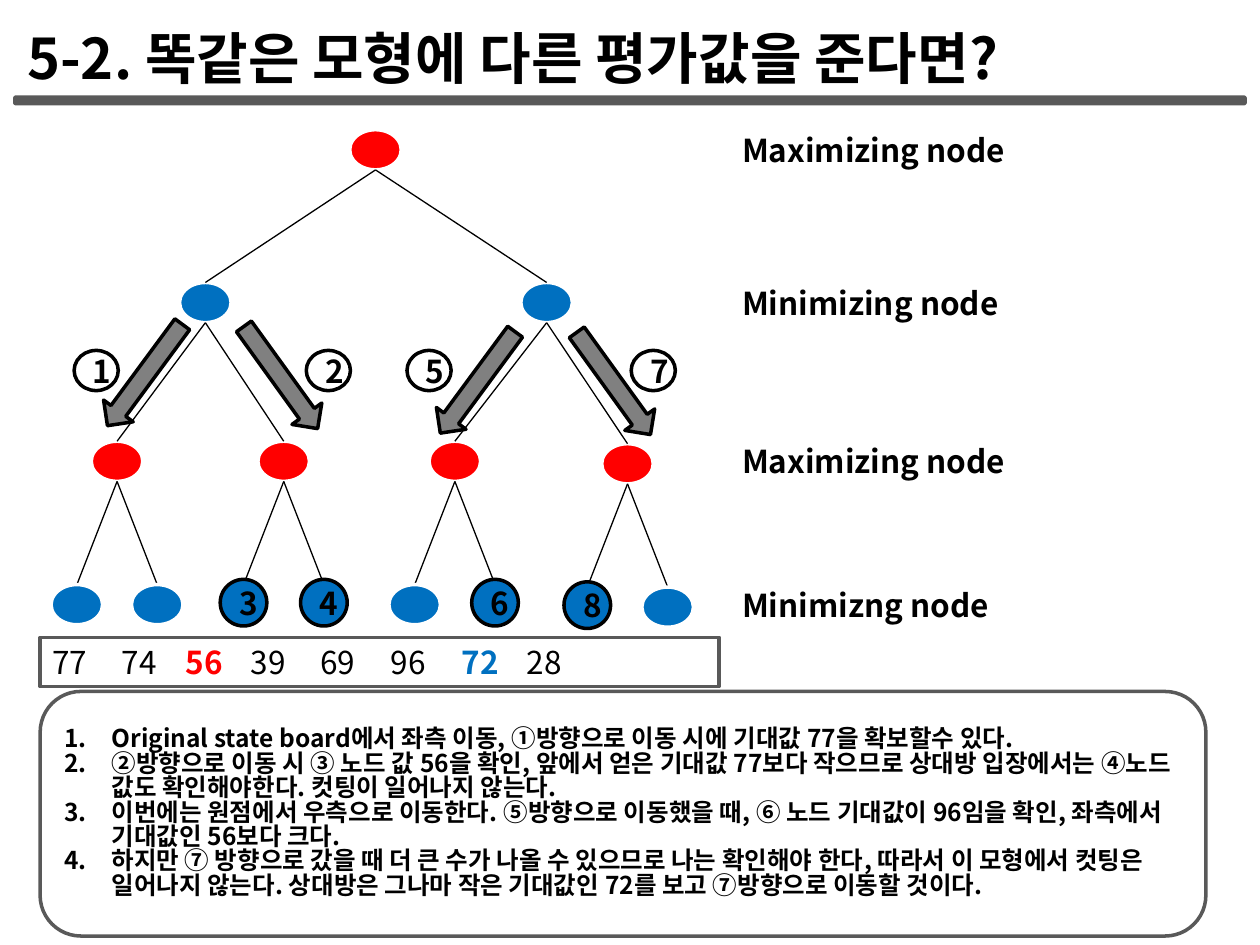
from dataclasses import dataclass
from lxml import etree
from pptx import Presentation
from pptx.dml.color import RGBColor
from pptx.enum.shapes import MSO_CONNECTOR, MSO_SHAPE
from pptx.enum.text import MSO_ANCHOR, PP_ALIGN
from pptx.oxml.ns import qn
from pptx.util import Cm, Pt

OVAL, RECT = MSO_SHAPE.OVAL, MSO_SHAPE.RECTANGLE
ROUND, ARROW = MSO_SHAPE.ROUNDED_RECTANGLE, MSO_SHAPE.RIGHT_ARROW
LINE, MIDDLE = MSO_CONNECTOR.STRAIGHT, MSO_ANCHOR.MIDDLE
LEFT, CENTER = PP_ALIGN.LEFT, PP_ALIGN.CENTER


@dataclass
class Theme:
    font: str = "Noto Sans CJK KR"
    black: str = "000000"
    white: str = "FFFFFF"
    red: str = "FF0000"
    blue: str = "0070C0"
    gray: str = "808080"
    dark: str = "595959"
    head: int = 32
    body: int = 18
    note: int = 14


T = Theme()


def draw(slide, kind, x, y, w, h, fill=None, line=None, turn=0):
    shape = slide.shapes.add_shape(kind, Cm(x), Cm(y), Cm(w), Cm(h))
    shape.shadow.inherit = False
    shape.rotation = turn
    if fill:
        shape.fill.solid()
        shape.fill.fore_color.rgb = RGBColor.from_string(fill)
    else:
        shape.fill.background()
    if line:
        shape.line.color.rgb = RGBColor.from_string(line)
        shape.line.width = Pt(2)
    else:
        shape.line.fill.background()
    return shape


def disc(slide, x, y, w, h, **style):
    return draw(slide, OVAL, x - w / 2, y - h / 2, w, h, **style)


def edge(slide, x, y, to_x, to_y):
    link = slide.shapes.add_connector(LINE, Cm(x), Cm(y), Cm(to_x), Cm(to_y))
    link.line.color.rgb = RGBColor.from_string(T.black)
    link.line.width = Pt(0.75)
    etree.SubElement(link._element.spPr, qn("a:effectLst"))


def write(shape, paras, size=T.body, bold=True, align=LEFT, space=None,
          tabs=(), listed=False):
    frame = shape.text_frame
    frame.word_wrap = True
    frame.vertical_anchor = MIDDLE
    frame.margin_top = frame.margin_bottom = 0
    for i, runs in enumerate(paras):
        para = frame.paragraphs[0] if i == 0 else frame.add_paragraph()
        para.alignment = align
        if space:
            para.line_spacing = space
        props = para._p.get_or_add_pPr()
        if listed:
            props.set("marL", str(Cm(0.95)))
            props.set("indent", str(Cm(-0.95)))
            etree.SubElement(props, qn("a:buFont"), typeface="+mj-lt")
            etree.SubElement(props, qn("a:buAutoNum"), type="arabicPeriod")
        if tabs:
            stops = etree.SubElement(props, qn("a:tabLst"))
            for stop in tabs:
                etree.SubElement(stops, qn("a:tab"), pos=str(Cm(stop)), algn="l")
        for part in [(runs, T.black, bold)] if isinstance(runs, str) else runs:
            text, color, heavy = part
            run = para.add_run()
            run.text = text
            font = run.font
            font.name, font.size, font.bold = T.font, Pt(size), heavy
            font.color.rgb = RGBColor.from_string(color)
            etree.SubElement(font._element, qn("a:ea"), typeface=T.font)


def title(slide, x, y, w, h):
    box = slide.shapes.add_textbox(Cm(x), Cm(y), Cm(w), Cm(h - 0.13))
    write(box, ["5-2. 똑같은 모형에 다른 평가값을 준다면?"], size=T.head)
    draw(slide, ROUND, x, y + h - 0.13, 24.8, 0.13, fill=T.dark, line=T.dark)


ROWS = [0.42, 3.5, 6.7, 9.59]
WIDE, HIGH = 1.04, 0.81


def tree(slide, x, y, w, h):
    def node(cx, cy, color):
        disc(slide, x + cx, y + cy, WIDE, HIGH, fill=color, line=T.white)

    def join(ax, ay, bx, by):
        edge(slide, x + ax, y + ay + HIGH / 2, x + bx, y + by - HIGH / 2)

    def badge(text, cx, cy, bw, bh, color):
        spot = disc(slide, x + cx, y + cy, bw, bh, fill=color, line=T.black)
        write(spot, [text], align=CENTER)

    top, low, deep, leaf = ROWS
    root = w / 2 - 0.09
    node(root, top, T.red)
    sides = [(3.33, [(1.55, 0, ("", "")), (4.91, 0, ("3", "4"))]),
             (10.21, [(8.36, 0, ("", "6")), (11.84, 0.05, ("8", ""))])]
    for side, kids in sides:
        node(side, low, T.blue)
        join(root, top, side, low)
        for kid, drop, marks in kids:
            node(kid, deep + drop, T.red)
            join(side, low, kid, deep + drop)
            for step, mark in zip((-0.81, 0.81), marks):
                end = kid + step
                join(kid, deep + drop, end, leaf + drop)
                if mark:
                    badge(mark, end, leaf + drop - 0.04, 0.94, 0.94, T.blue)
                else:
                    node(end, leaf + drop, T.blue)

    moves = [("1", 1.13, 2.11, 4.96, 126.4), ("2", 5.81, 4.85, 5.01, 54.2),
             ("5", 7.84, 8.82, 5.11, 126.4), ("7", 12.36, 11.56, 5.13, 54.2)]
    for mark, at, ax, ay, turn in moves:
        draw(slide, ARROW, x + ax - 1.27, y + ay - 0.37, 2.54, 0.74,
             fill=T.gray, line=T.black, turn=turn)
        badge(mark, at, 4.87, 0.89, HIGH, T.white)


def labels(slide, x, y, w, h):
    names = ["Maximizing node", "Minimizing node", "Maximizing node",
             "Minimizng node"]
    for row, name in zip(ROWS, names):
        box = slide.shapes.add_textbox(Cm(x), Cm(y + row - h / 2), Cm(w), Cm(h))
        write(box, [name])


def values(slide, x, y, w, h):
    bar = draw(slide, RECT, x, y, w, h, line=T.dark)
    runs = [("77\t74\t", T.black, False), ("56", T.red, True),
            ("\t39\t69\t96\t", T.black, False), ("72", T.blue, True),
            ("\t28", T.black, False)]
    write(bar, [runs], tabs=[1.4, 2.68, 4, 5.4, 6.82, 8.25, 9.56])


def notes(slide, x, y, w, h):
    panel = draw(slide, ROUND, x, y, w, h, line=T.dark)
    write(panel, [
        "Original state board에서 좌측 이동, ①방향으로 이동 시에 기대값 77을 확보할수 있다.",
        "②방향으로 이동 시 ③ 노드 값 56을 확인, 앞에서 얻은 기대값 77보다 작으므로 "
        "상대방 입장에서는 ④노드 값도 확인해야한다. 컷팅이 일어나지 않는다.",
        "이번에는 원점에서 우측으로 이동한다. ⑤방향으로 이동했을 때, ⑥ 노드 기대값이 "
        "96임을 확인, 좌측에서 기대값인 56보다 크다.",
        "하지만 ⑦ 방향으로 갔을 때 더 큰 수가 나올 수 있으므로 나는 확인해야 한다, "
        "따라서 이 모형에서 컷팅은 일어나지 않는다. 상대방은 그나마 작은 기대값인 "
        "72를 보고 ⑦방향으로 이동할 것이다.",
    ], size=T.note, space=0.83, listed=True)


deck = Presentation()
deck.slide_width, deck.slide_height = Cm(25.4), Cm(19.05)
page = deck.slides.add_slide(deck.slide_layouts[6])
title(page, 0.3, 0.33, 23.6, 1.76)
tree(page, 0.81, 2.6, 13.7, 10.1)
labels(page, 14.71, 2.6, 6.05, 1.12)
values(page, 0.81, 12.85, 13.69, 0.99)
notes(page, 0.81, 13.94, 23.5, 4.93)
deck.save("out.pptx")
